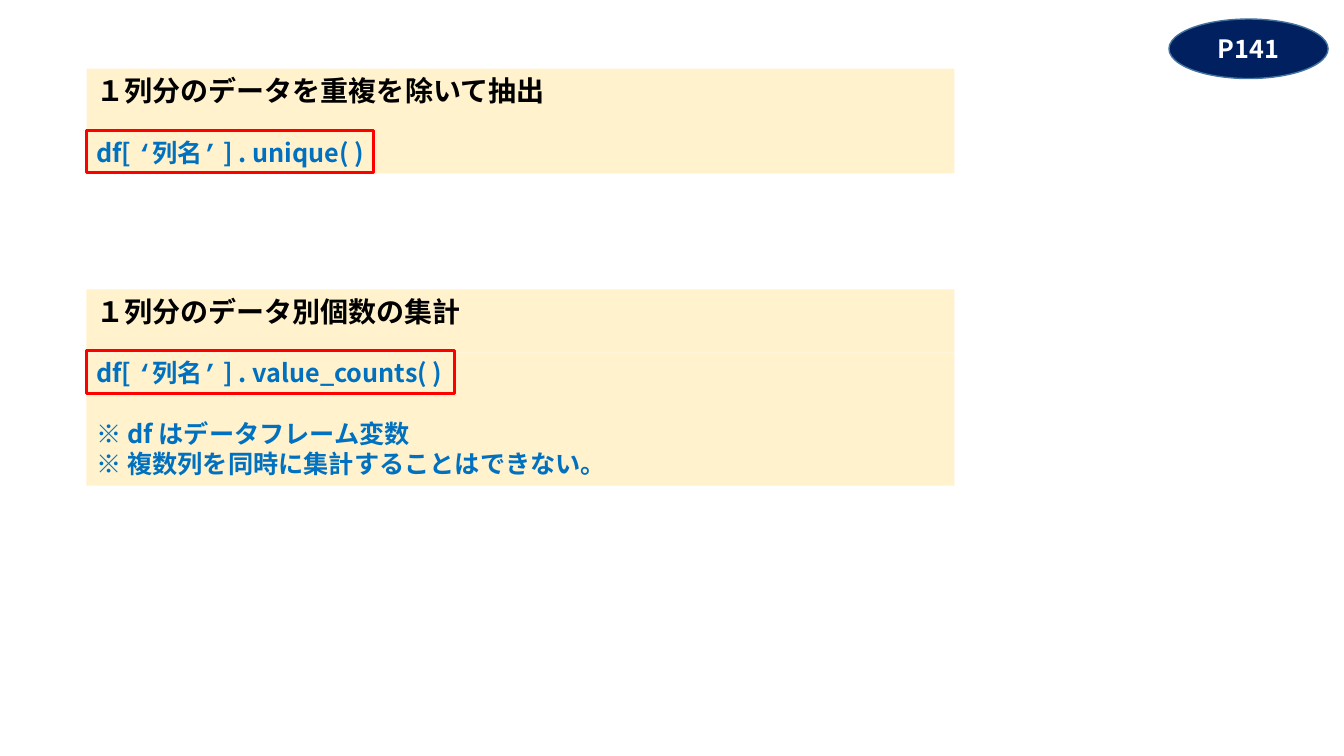
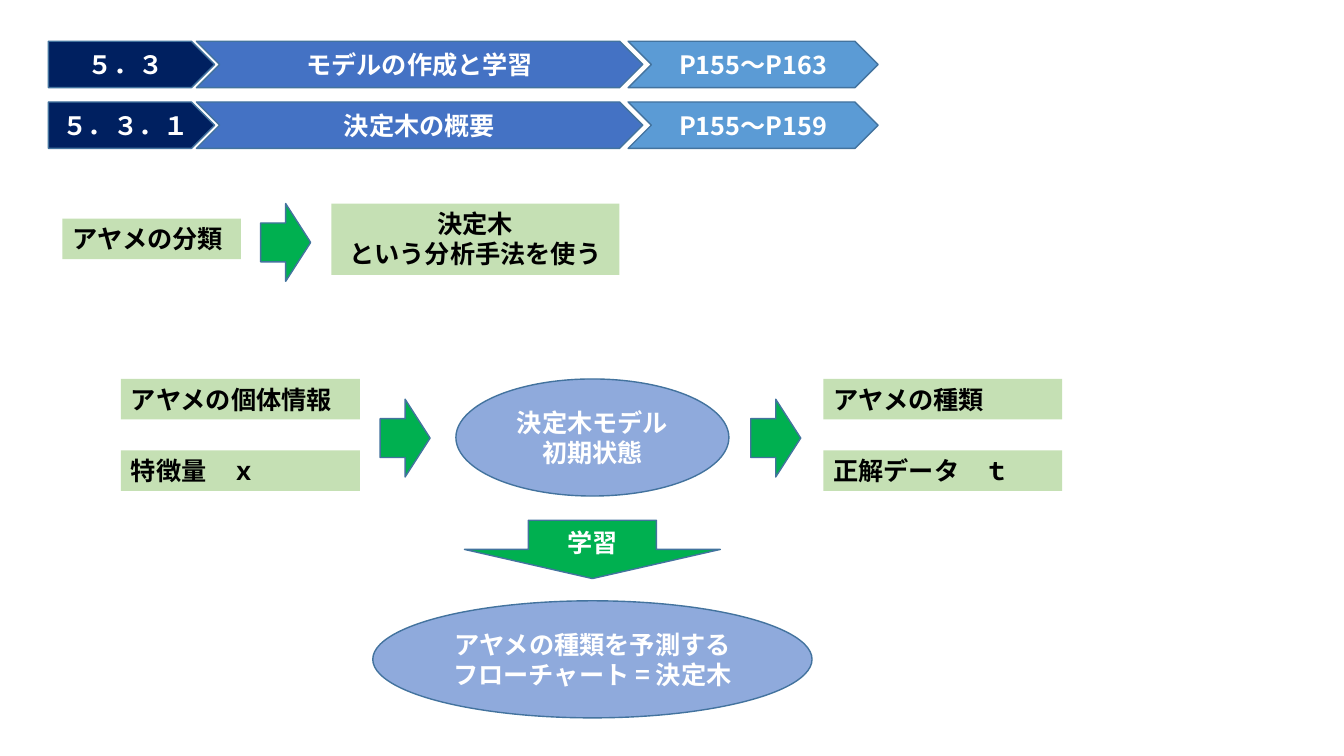
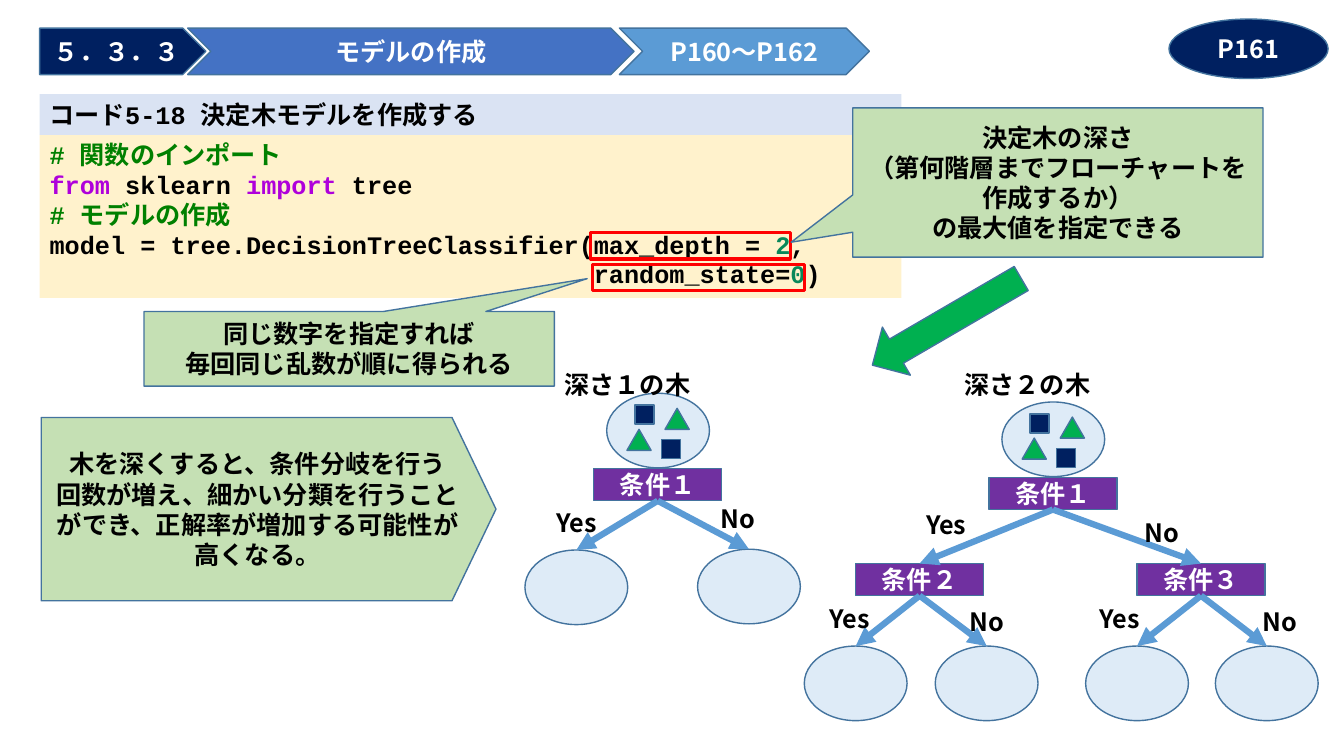
from itertools import groupby

from lxml import etree
from pptx import Presentation
from pptx import util as u
from pptx.dml.color import RGBColor
from pptx.enum import shapes, text
from pptx.oxml.ns import qn

Cm, Pt = u.Cm, u.Pt
KIND = shapes.MSO_SHAPE
LEFT, CENTER = text.PP_ALIGN.LEFT, text.PP_ALIGN.CENTER
TOP, MIDDLE = text.MSO_ANCHOR.TOP, text.MSO_ANCHOR.MIDDLE

FONT, CODE_FONT = "Noto Sans CJK JP", "Courier New"
NAVY, BLUE, SKY, OUTLINE = "002060", "4472C4", "5B9BD5", "43739E"
CREAM, LIME, GREEN, PURPLE = "FFF2CC", "C5E0B4", "00B050", "7030A0"
PERIWINKLE, PALE, LAVENDER = "8FAADC", "DEEBF7", "DAE3F3"
BLACK, WHITE, RED, CODE_BLUE = "000000", "FFFFFF", "FF0000", "0070C0"
COMMENT, KEYWORD, NUMBER = "008000", "AF00DB", "09885A"
LEADING = 1.2  # line pitch relative to the text size


# ---- Shared helpers ----
def rgb(value):
    return RGBColor.from_string(value)


def paint(shape, fill=None, outline=None, width=1):
    if fill:
        shape.fill.solid()
        shape.fill.fore_color.rgb = rgb(fill)
    else:
        shape.fill.background()
    if outline:
        shape.line.color.rgb = rgb(outline)
        shape.line.width = Pt(width)
    else:
        shape.line.fill.background()


def style_run(run, color, size=18, font=FONT, asian_font=FONT):
    run.font.name = font
    run.font.size = Pt(size)
    run.font.bold = True
    run.font.color.rgb = rgb(color)
    east_asian = etree.SubElement(run.font._element, qn("a:ea"))
    east_asian.set("typeface", asian_font)


def set_frame(shape, anchor):
    frame = shape.text_frame
    frame.word_wrap = True
    frame.auto_size = text.MSO_AUTO_SIZE.NONE
    frame.vertical_anchor = anchor
    return frame


def write(shape, words, color=BLACK, size=18, align=LEFT, anchor=TOP, font=FONT):
    frame = set_frame(shape, anchor)
    frame.text = words
    for paragraph in frame.paragraphs:
        paragraph.alignment = align
        paragraph.line_spacing = Pt(round(size * LEADING, 1))
        for run in paragraph.runs:
            style_run(run, color, size, font)


def block(slide, kind, box, fill=None, outline=OUTLINE, width=1):
    shape = slide.shapes.add_shape(kind, *map(Cm, box))
    shape.shadow.inherit = False
    paint(shape, fill, outline, width)
    return shape


def centered(slide, kind, box, fill, words, color=WHITE):
    shape = block(slide, kind, box, fill)
    write(shape, words, color, align=CENTER, anchor=MIDDLE)
    return shape


def label(slide, x, y, words, width=1.8):
    box = slide.shapes.add_textbox(Cm(x), Cm(y), Cm(width), Cm(1.02))
    write(box, words)


def tag(slide, box, words, align=LEFT):
    write(block(slide, KIND.RECTANGLE, box, LIME, None), words, align=align)


def red_frame(slide, box):
    block(slide, KIND.RECTANGLE, box, None, RED, 2.25)


def place_title(slide, box, fill=None):
    """Move the title placeholder to a box, in front of what is drawn so far."""
    title = slide.shapes.title
    title.left, title.top, title.width, title.height = map(Cm, box)
    paint(title, fill)
    title._element.getparent().append(title._element)
    return title


def page_badge(slide, words):
    centered(slide, KIND.OVAL, (29.46, 0.48, 4.01, 1.5), NAVY, words)


def section_band(slide, x, y, number, topic, pages, is_title=False):
    height = 1.17
    centered(slide, KIND.PENTAGON, (x, y, 4.19, height), NAVY, number)
    topic_box = (x + 3.73, y, 11.25, height)
    topic_holder = block(slide, KIND.CHEVRON, topic_box, BLUE)
    if is_title:
        topic_holder = place_title(slide, topic_box)
    write(topic_holder, topic, WHITE, align=CENTER, anchor=MIDDLE)
    centered(slide, KIND.CHEVRON, (x + 14.61, y, 6.3, height), SKY, pages)


# ---- Slide 1: column methods ----
def narrow_quotes(paragraph, color):
    """Set curly quotes in narrow Latin glyphs instead of full-width ones."""
    words = paragraph.text
    paragraph.text = ""
    for is_quote, letters in groupby(words, lambda letter: letter in "‘’"):
        run = paragraph.add_run()
        run.text = "".join(letters)
        if is_quote:
            style_run(run, color, font=CODE_FONT, asian_font=CODE_FONT)
            run.font._element.set("spc", "-400")
        else:
            style_run(run, color)


def method_panel(slide, y, height, heading, body, frame_width, is_title=False):
    x, width, heading_height = 2.18, 21.87, 1.6
    heading_box = (x, y, width, heading_height)
    if is_title:
        strip = place_title(slide, heading_box, CREAM)
    else:
        strip = block(slide, KIND.RECTANGLE, heading_box, CREAM, None)
    write(strip, heading, size=20)
    syntax = block(slide, KIND.RECTANGLE,
                   (x, y + heading_height, width, height - heading_height),
                   CREAM, None)
    write(syntax, body, CODE_BLUE)
    call, *notes = syntax.text_frame.paragraphs
    narrow_quotes(call, CODE_BLUE)
    if notes:
        notes[0].space_before = Pt(21.6)
    red_frame(slide, (x, y + 1.55, frame_width, 1.07))


def column_methods(slide):
    method_panel(slide, 1.73, 2.64, "１列分のデータを重複を除いて抽出",
                 "df[ ‘列名’ ] . unique( )", 7.24, is_title=True)
    method_panel(slide, 7.29, 4.95, "１列分のデータ別個数の集計",
                 "df[ ‘列名’ ] . value_counts( )\n※ df はデータフレーム変数\n"
                 "※ 複数列を同時に集計することはできない。", 9.27)
    page_badge(slide, "P141")


# ---- Slide 2: decision tree overview ----
def flow_arrow(slide, x, y):
    block(slide, KIND.RIGHT_ARROW, (x, y, 1.26, 1.96), GREEN)


def tag_pair(slide, x, y, words):
    for row, word in enumerate(words):
        tag(slide, (x, y + row * 1.8, 6.02, 1.02), word)


def method_choice(slide, x, y):
    tag(slide, (x, y + 0.38, 4.5, 1.02), "アヤメの分類")
    flow_arrow(slide, x + 5, y)
    tag(slide, (x + 6.78, y, 7.26, 1.8), "決定木\nという分析手法を使う", CENTER)


def learning_flow(slide, x, y):
    tag_pair(slide, x, y, ["アヤメの個体情報", "特徴量　ｘ"])
    tag_pair(slide, x + 17.7, y, ["アヤメの種類", "正解データ　ｔ"])
    for offset in (6.53, 15.87):
        flow_arrow(slide, x + offset, y + 0.51)
    middle = x + 11.88
    steps = [
        (KIND.OVAL, 0, 6.88, 2.95, PERIWINKLE, "決定木モデル\n初期状態"),
        (KIND.DOWN_ARROW, 3.56, 6.45, 1.47, GREEN, "学習"),
        (KIND.OVAL, 5.59, 11.07, 2.95, PERIWINKLE,
         "アヤメの種類を予測する\nフローチャート = 決定木"),
    ]
    for kind, drop, width, height, fill, words in steps:
        centered(slide, kind, (middle - width / 2, y + drop, width, height),
                 fill, words)


def tree_overview(slide):
    section_band(slide, 1.22, 1.04, "５．３", "モデルの作成と学習", "P155～P163",
                 is_title=True)
    section_band(slide, 1.22, 2.57, "５．３．１", "決定木の概要", "P155～P159")
    method_choice(slide, 1.57, 5.13)
    learning_flow(slide, 3.05, 9.55)


# ---- Slide 3: building the model ----
def condition(slide, x, y, words):
    return centered(slide, KIND.RECTANGLE, (x, y, 3.23, 0.81), PURPLE, words)


def leaf(slide, x, y):
    return block(slide, KIND.OVAL, (x, y, 2.59, 1.88), PALE)


def root(slide, x, y):
    """Mixed samples above the first condition."""
    leaf(slide, x, y)
    for dx, dy in ((0.71, 0.3), (1.38, 1.17)):
        block(slide, KIND.RECTANGLE, (x + dx, y + dy, 0.48, 0.48), NAVY)
    for dx, dy in ((1.47, 0.38), (0.51, 0.91)):
        block(slide, KIND.ISOSCELES_TRIANGLE, (x + dx, y + dy, 0.61, 0.53), GREEN)
    return condition(slide, x - 0.33, y + 1.9, "条件１")


def branch(slide, parent, child):
    arrow = slide.shapes.add_connector(shapes.MSO_CONNECTOR.STRAIGHT, 0, 0, 0, 0)
    arrow.begin_connect(parent, 2)
    arrow.end_connect(child, 0)
    arrow.line.color.rgb = rgb(SKY)
    arrow.line.width = Pt(4.5)
    etree.SubElement(arrow.line._get_or_add_ln(), qn("a:tailEnd"), type="triangle")
    etree.SubElement(arrow._element.spPr, qn("a:effectLst"))


def split(slide, parent, children, yes_at, no_at):
    for child in children:
        branch(slide, parent, child)
    label(slide, *yes_at, "Yes")
    label(slide, *no_at, "No")


def depth_one_tree(slide, x, y):
    top = root(slide, x + 1.32, y + 0.72)
    leaves = [leaf(slide, x - 0.74, y + 4.67), leaf(slide, x + 3.61, y + 4.65)]
    split(slide, top, leaves, (x - 0.2, y + 3.48), (x + 3.94, y + 3.36))
    label(slide, x, y, "深さ１の木", 5.72)


def depth_two_tree(slide, x, y):
    top = root(slide, x + 1.2, y + 0.94)
    second = condition(slide, x - 2.49, y + 5.01, "条件２")
    third = condition(slide, x + 4.6, y + 5.01, "条件３")
    split(slide, top, [second, third], (x - 0.96, y + 3.51), (x + 4.55, y + 3.71))
    for parent, leaf_xs, yes_x, no_x in (
            (second, (-3.78, -0.48), -3.4, 0.13),
            (third, (3.31, 6.58), 3.41, 7.52)):
        leaves = [leaf(slide, x + dx, y + 7.09) for dx in leaf_xs]
        split(slide, parent, leaves, (x + yes_x, y + 5.9), (x + no_x, y + 5.97))
    label(slide, x, y, "深さ２の木", 5.72)


CODE_LINES = [
    [("# 関数のインポート", COMMENT)],
    [("from", KEYWORD), (" sklearn ", BLACK), ("import", KEYWORD), (" tree", BLACK)],
    [("# モデルの作成", COMMENT)],
    [("model = tree.DecisionTreeClassifier(max_depth = ", BLACK),
     ("2", NUMBER), (",", BLACK)],
    [(" " * 36 + "random_state=", BLACK), ("0", NUMBER), (")", BLACK)],
]


def code_listing(slide, x, y):
    width, caption_height = 21.72, 1.03
    code = block(slide, KIND.RECTANGLE, (x, y + caption_height, width, 4.11),
                 CREAM, None)
    frame = set_frame(code, TOP)
    for number, pieces in enumerate(CODE_LINES):
        paragraph = frame.add_paragraph() if number else frame.paragraphs[0]
        paragraph.alignment = LEFT
        paragraph.line_spacing = Pt(21.3)
        for words, color in pieces:
            run = paragraph.add_run()
            run.text = words
            style_run(run, color, font=CODE_FONT)
    caption = block(slide, KIND.RECTANGLE, (x, y, width, caption_height),
                    LAVENDER, None)
    write(caption, "コード5-18 決定木モデルを作成する", font=CODE_FONT)
    red_frame(slide, (x + 13.89, y + 3.5, 5.03, 0.66))
    red_frame(slide, (x + 13.94, y + 4.29, 5.33, 0.66))


def callout(slide, box, words, tip):
    bubble = centered(slide, KIND.RECTANGULAR_CALLOUT, box, LIME, words, BLACK)
    bubble.adjustments[0], bubble.adjustments[1] = tip


def model_building(slide):
    section_band(slide, 1, 0.71, "５．３．３", "モデルの作成", "P160～P162",
                 is_title=True)
    depth_one_tree(slide, 13.97, 9.19)
    depth_two_tree(slide, 24.05, 9.19)
    code_listing(slide, 1, 2.37)
    callout(slide, (21.49, 2.72, 10.34, 3.76),
            "決定木の深さ\n（第何階層までフローチャートを作成するか）\n"
            "の最大値を指定できる", (-0.65, 0.4))
    callout(slide, (3.63, 7.85, 10.34, 1.88),
            "同じ数字を指定すれば\n毎回同じ乱数が順に得られる", (0.58, -0.94))
    depth_note = centered(
        slide, KIND.PENTAGON, (1.04, 10.52, 11.46, 4.62), LIME,
        "木を深くすると、条件分岐を行う\n回数が増え、細かい分類を行うことができ、"
        "正解率が増加する可能性が高くなる。", BLACK)
    depth_note.adjustments[0] = 0.24
    depth_arrow = block(slide, KIND.DOWN_ARROW, (23.16, 5.94, 1.4, 4.34), GREEN)
    depth_arrow.rotation = 59.8
    page_badge(slide, "P161")


def main():
    deck = Presentation()
    deck.slide_width, deck.slide_height = Cm(33.87), Cm(19.05)
    title_only = deck.slide_layouts[5]
    for build in (column_methods, tree_overview, model_building):
        build(deck.slides.add_slide(title_only))
    deck.save("out.pptx")


if __name__ == "__main__":
    main()
